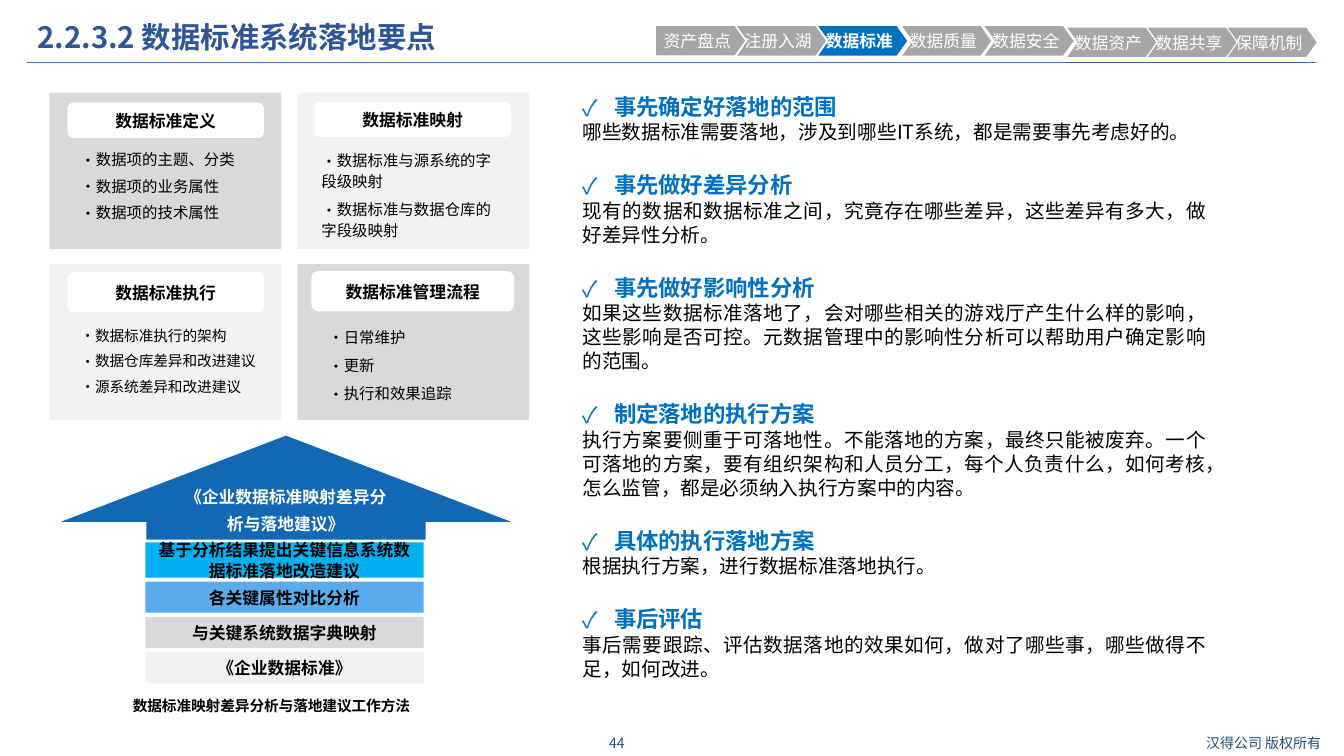
from dataclasses import dataclass

from lxml.etree import SubElement
from pptx import Presentation
from pptx.dml.color import RGBColor
from pptx.enum.shapes import MSO_CONNECTOR, MSO_SHAPE
from pptx.enum.text import MSO_ANCHOR, MSO_AUTO_SIZE, PP_ALIGN
from pptx.oxml.ns import qn
from pptx.util import Pt


@dataclass(frozen=True)
class Theme:
    font: str = "Noto Sans CJK SC"
    line_height: float = 1.22
    black: str = "000000"
    white: str = "FFFFFF"
    title: str = "2F5597"
    footer: str = "1F4E79"
    rule: str = "2E75B6"
    accent: str = "0070C0"
    step: str = "A6A6A6"
    dark_card: str = "D9D9D9"
    light_card: str = "F2F2F2"
    arrow: str = "1368B3"
    advice: str = "00B0F0"
    analysis: str = "5AACEC"
    title_size: float = 21
    heading_size: float = 16
    body_size: float = 14
    label_size: float = 12
    item_size: float = 11
    small_size: float = 10.5
    footer_size: float = 10


THEME = Theme()


def apply(target, values):
    for name, value in values.items():
        setattr(target, name, value)


class SlideBuilder:
    def __init__(self, page, theme):
        self.page = page
        self.theme = theme

    def frame(self, shape, anchor=MSO_ANCHOR.TOP, wrap=True, **margins):
        apply(shape.text_frame, {"auto_size": MSO_AUTO_SIZE.NONE, "word_wrap": wrap,
                                 "vertical_anchor": anchor, **margins})
        return shape.text_frame

    def para(self, frame, text, size, color, bold=False, align=PP_ALIGN.LEFT,
             spacing=1, before=0, bullet=None, indent=0):
        first = not frame.paragraphs[0].runs
        para = frame.paragraphs[0] if first else frame.add_paragraph()
        properties = para._p.get_or_add_pPr()
        if bullet:
            properties.set("marL", str(Pt(indent)))
            properties.set("indent", str(Pt(-indent)))
            SubElement(properties, qn("a:buFont")).set("typeface", self.theme.font)
            SubElement(properties, qn("a:buChar")).set("char", bullet)
        apply(para, {"alignment": align, "space_after": Pt(0),
                     "space_before": Pt(0 if first else before),
                     "line_spacing": Pt(round(size * self.theme.line_height * spacing, 1))})
        span = para.add_run()
        span.text = text
        apply(span.font, {"name": self.theme.font, "size": Pt(size), "bold": bold})
        span.font.color.rgb = RGBColor.from_string(color)
        SubElement(span._r.get_or_add_rPr(), qn("a:ea")).set("typeface", self.theme.font)

    def paint(self, shape, color):
        shape.shadow.inherit = False
        shape.fill.solid()
        shape.fill.fore_color.rgb = RGBColor.from_string(color)
        shape.line.fill.background()

    def title(self, text, bounds):
        shape = self.page.shapes.title
        apply(shape, dict(zip(("left", "top", "width", "height"), map(Pt, bounds))))
        self.para(self.frame(shape, MSO_ANCHOR.MIDDLE), text,
                  self.theme.title_size, self.theme.title, bold=True)

    def text(self, bounds, lines, anchor=MSO_ANCHOR.TOP, wrap=True, **style):
        box = self.page.shapes.add_textbox(*map(Pt, bounds))
        frame = self.frame(box, anchor, wrap)
        for line in lines:
            self.para(frame, line, **style)

    def shape(self, kind, bounds, color, text=None, adjustments=(), wrap=True):
        shape = self.page.shapes.add_shape(kind, *map(Pt, bounds))
        self.paint(shape, color)
        for index, value in enumerate(adjustments):
            shape.adjustments[index] = value
        if text:
            self.para(self.frame(shape, MSO_ANCHOR.MIDDLE, wrap), text,
                      self.theme.label_size, self.theme.black, True, PP_ALIGN.CENTER)

    def rule(self, left, right, top):
        line = self.page.shapes.add_connector(
            MSO_CONNECTOR.STRAIGHT, Pt(left), Pt(top), Pt(right), Pt(top))
        line.line.width = Pt(0.75)
        line.line.color.rgb = RGBColor.from_string(self.theme.rule)
        SubElement(line._element.spPr, qn("a:effectLst"))

    def step(self, left, top, text, active, notched):
        width, height, point = 63.5, 21, 7.5
        corners = [(width - point, 0), (width, height / 2), (width - point, height), (0, height)]
        if notched:
            corners.append((point, height / 2))
        builder = self.page.shapes.build_freeform(Pt(left), Pt(top))
        builder.add_line_segments([(Pt(left + x), Pt(top + y)) for x, y in corners])
        shape = builder.convert_to_shape()
        self.paint(shape, self.theme.accent if active else self.theme.step)
        frame = self.frame(shape, MSO_ANCHOR.MIDDLE, margin_left=Pt(5.4),
                           margin_right=0, margin_top=0, margin_bottom=0)
        self.para(frame, text, self.theme.label_size, self.theme.white, active)

    def points(self, bounds, points):
        box = self.page.shapes.add_textbox(*map(Pt, bounds))
        frame = self.frame(box)
        theme = self.theme
        for heading, body in points:
            self.para(frame, heading, theme.heading_size, theme.accent, True, PP_ALIGN.JUSTIFY,
                      before=theme.heading_size * theme.line_height, bullet="✓", indent=22.5)
            self.para(frame, body, theme.body_size, theme.black, align=PP_ALIGN.JUSTIFY)


STEPS = [("资产盘点", 468.7, 18.6), ("注册入湖", 526.5, 18.7), ("数据标准", 584.5, 18.7),
         ("数据质量", 644.5, 18.7), ("数据安全", 703.4, 18.7), ("数据资产", 762.4, 19.7),
         ("数据共享", 819.8, 19.7), ("保障机制", 877, 19.7)]

CARDS = [
    ("数据标准定义", (48.2, 73.4, 140.4, 25.2), (50.4, 103.7, 140.4, 60.5),
     THEME.item_size, 1, ["数据项的主题、分类", "数据项的业务属性", "数据项的技术属性"]),
    ("数据标准映射", (224.6, 72.7, 140.4, 25.2), (222.5, 103, 139.7, 72),
     THEME.item_size, 1.1, ["数据标准与源系统的字段级映射", "数据标准与数据仓库的字段级映射"]),
    ("数据标准执行", (48.2, 194.4, 140.4, 28.8), (50.4, 229.7, 140.4, 58.3),
     THEME.small_size, 1, ["数据标准执行的架构", "数据仓库差异和改进建议", "源系统差异和改进建议"]),
    ("数据标准管理流程", (222.5, 193.7, 144.7, 28.8), (227.5, 229, 155.5, 64.8),
     THEME.item_size, 1.1, ["日常维护", "更新", "执行和效果追踪"]),
]

LAYERS = [("基于分析结果提出关键信息系统数据标准落地改造建议", 387.4, 25.2, THEME.advice),
          ("各关键属性对比分析", 415.4, 22.3, THEME.analysis),
          ("与关键系统数据字典映射", 440.6, 22.3, THEME.dark_card),
          ("《企业数据标准》", 465.8, 22.3, THEME.light_card)]

POINTS = [
    ("事先确定好落地的范围", "哪些数据标准需要落地，涉及到哪些IT系统，都是需要事先考虑好的。"),
    ("事先做好差异分析", "现有的数据和数据标准之间，究竟存在哪些差异，这些差异有多大，做好差异性分析。"),
    ("事先做好影响性分析", "如果这些数据标准落地了，会对哪些相关的游戏厅产生什么样的影响，这些影响是否可控。"
     "元数据管理中的影响性分析可以帮助用户确定影响的范围。"),
    ("制定落地的执行方案", "执行方案要侧重于可落地性。不能落地的方案，最终只能被废弃。一个可落地的方案，"
     "要有组织架构和人员分工，每个人负责什么，如何考核，怎么监管，都是必须纳入执行方案中的内容。"),
    ("具体的执行落地方案", "根据执行方案，进行数据标准落地执行。"),
    ("事后评估", "事后需要跟踪、评估数据落地的效果如何，做对了哪些事，哪些做得不足，如何改进。"),
]


def main():
    deck = Presentation()
    apply(deck, {"slide_width": Pt(960), "slide_height": Pt(540)})
    slide = SlideBuilder(deck.slides.add_slide(deck.slide_layouts[5]), THEME)

    slide.title("2.2.3.2 数据标准系统落地要点", (19.4, 10.8, 833, 30.2))
    slide.rule(19.4, 940.3, 44.6)
    for text, left, width in (("44", 415.4, 50.4), ("汉得公司 版权所有", 845.3, 114.5)):
        slide.text((left, 520.6, width, 19.4), [text], MSO_ANCHOR.MIDDLE,
                   size=THEME.footer_size, color=THEME.footer, align=PP_ALIGN.CENTER)

    for index, (name, label, items, size, spacing, lines) in enumerate(CARDS):
        row, column = divmod(index, 2)
        color = THEME.dark_card if row == column else THEME.light_card
        slide.shape(MSO_SHAPE.RECTANGLE,
                    (35.3 + 177.1 * column, 66.2 + 122.4 * row, 165.6, 111.6), color)
        slide.shape(MSO_SHAPE.ROUNDED_RECTANGLE, label, THEME.white, name, wrap=False)
        slide.text(items, lines, size=size, color=THEME.black, spacing=spacing,
                   before=size / 2, bullet="•")

    slide.points((409, 62.6, 459.4, 424), POINTS)

    slide.text((87.8, 493.9, 216, 20.2), ["数据标准映射差异分析与落地建议工作方法"],
               wrap=False, size=THEME.small_size, color=THEME.black, bold=True)
    for text, top, height, color in LAYERS:
        slide.shape(MSO_SHAPE.RECTANGLE, (103.9, top, 198.7, height), color, text)
    slide.shape(MSO_SHAPE.UP_ARROW, (43.4, 311.2, 321.8, 74.2), THEME.arrow,
                adjustments=(0.62, 0.83))
    slide.text((121.7, 339.8, 164.9, 45.4), ["《企业数据标准映射差异分析与落地建议》"],
               size=THEME.label_size, color=THEME.white, bold=True,
               align=PP_ALIGN.CENTER, spacing=1.3)

    for index, (text, left, top) in enumerate(STEPS):
        slide.step(left, top, text, active=text == "数据标准", notched=index > 0)

    deck.save("out.pptx")


if __name__ == "__main__":
    main()
